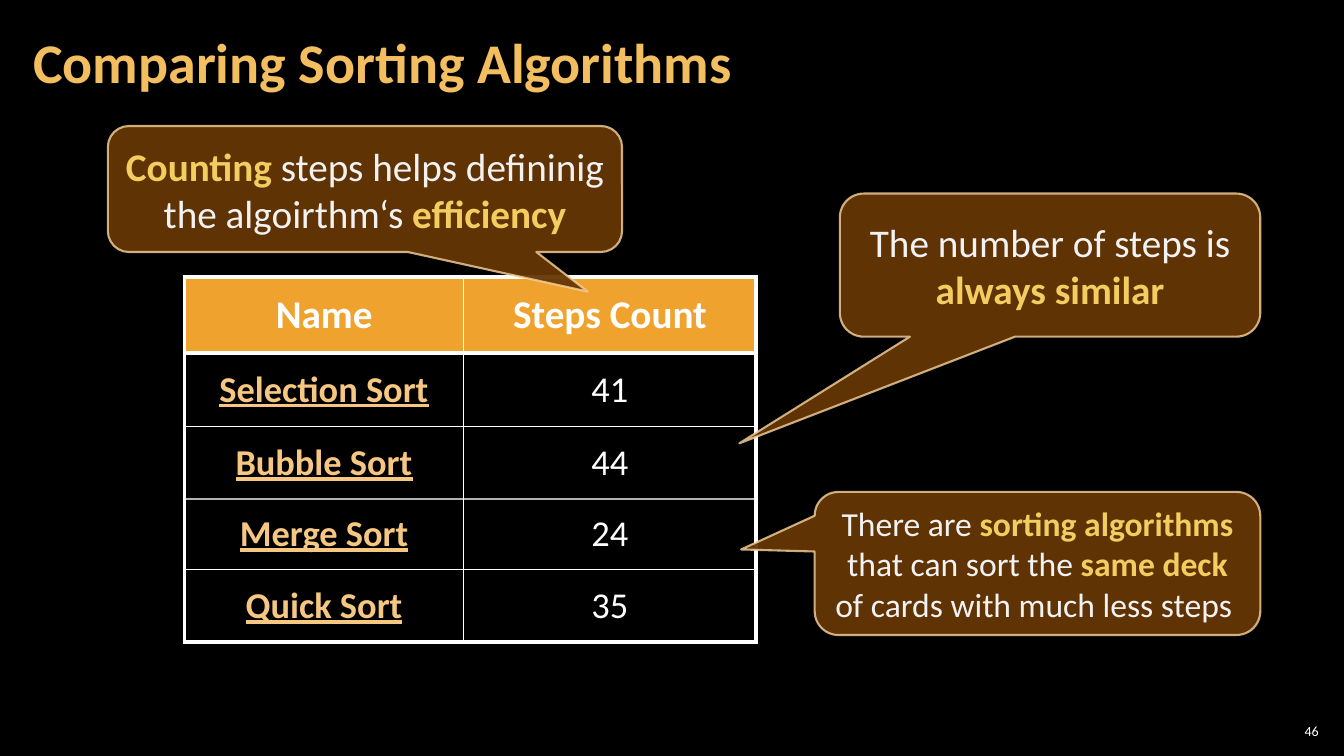
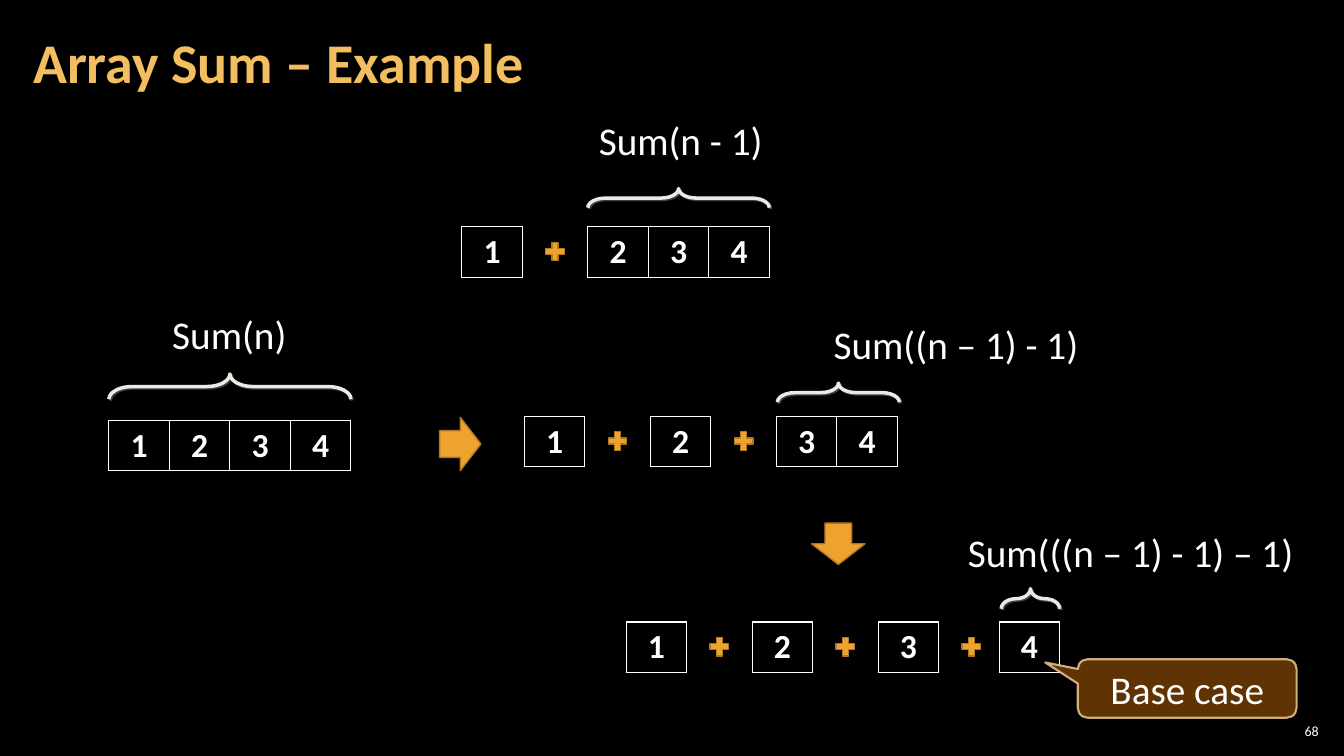
from dataclasses import dataclass

from pptx import Presentation
from pptx.dml.color import RGBColor
from pptx.enum.shapes import MSO_SHAPE
from pptx.enum.text import MSO_ANCHOR, PP_ALIGN
from pptx.oxml.ns import qn
from pptx.util import Emu, Pt
from lxml.etree import SubElement

PX = 9144  # 100 px to the inch


@dataclass(frozen=True)
class Theme:
    font: str = "Calibri"
    background: str = "000000"
    white: str = "FFFFFF"
    title: str = "F3BE60"
    accent: str = "F0A22E"
    accent_line: str = "B27822"
    callout: str = "663606"
    callout_line: str = "F8D49E"
    callout_text: str = "F2F2F2"
    emphasis: str = "F3CD60"
    link: str = "F6C781"
    brace: str = "ECEAE3"
    shadow: str = "404040"
    title_size: int = 40
    large_size: int = 28
    table_size: int = 26
    small_size: int = 24
    number_size: int = 10


THEME = Theme()

# ---- Content: comparison slide (boxes are left, top, width, height in px) ----
STEPS_HEADER = ("Name", "Steps Count")
SIMILAR_SORTS = [STEPS_HEADER, ("Selection Sort", "41"), ("Bubble Sort", "44")]
FASTER_SORTS = [("Merge Sort", "24"), ("Quick Sort", "35")]
STEPS_COLUMNS = (277, 290)
# corner, row heights, records; the second table continues the first
STEPS_TABLES = [
    ((183, 275), (75, 73, 72), SIMILAR_SORTS),
    ((183, 494), (71, 72), FASTER_SORTS),
]

# box, tail tip, text size, text colour, runs of (text, emphasised)
COMPARISON_CALLOUTS = [
    ((833, 192, 417, 142), (-0.739, 1.245), THEME.large_size, THEME.callout_text,
     [("The number of steps is ", False), ("always similar", True)]),
    ((107, 125, 510, 125), (0.433, 0.814), THEME.large_size, THEME.callout_text,
     [("Counting ", True), ("steps helps defininig the algoirthm‘s ", False),
      ("efficiency", True)]),
    ((808, 488, 442, 142), (-0.665, -0.098), THEME.small_size, THEME.callout_text,
     [("There are ", False), ("sorting algorithms", True),
      (" that can sort the ", False), ("same deck", True),
      (" of cards with much less steps ", False)]),
]

# ---- Content: array sum slide ----
CELL_WIDTH, CELL_HEIGHT = 60, 50
PLUS_SIZE, PLUS_GAP = 25, 20
# top of the row, then the left edge and digits of each group; a plus joins groups
SUM_ROWS = [
    (417, [(108, "1234")]),
    (225, [(458, "1"), (583, "234")]),
    (413, [(520, "1"), (645, "2"), (770, "34")]),
    (617, [(621, "1"), (746, "2"), (871, "3"), (991, "4")]),
]
SUM_LABELS = [
    ("Sum(n)", (161, 303, 135, 57)),
    ("Sum(n - 1)", (584, 110, 185, 57)),
    ("Sum((n – 1) - 1)", (817, 313, 266, 57)),
    ("Sum(((n – 1) - 1) – 1)", (950, 519, 359, 57)),
]
BRACES = [
    (108, 371, 240, 25),
    (583, 187, 180, 19),
    (771, 380, 121, 19),
    (993, 584, 58, 20),
]
ARROWS = [
    (MSO_SHAPE.RIGHT_ARROW, (436, 414, 41, 53)),
    (MSO_SHAPE.DOWN_ARROW, (805, 519, 53, 41)),
]
BASE_CASE = ((1069, 654, 217, 58), (-0.649, -0.445), THEME.large_size, THEME.white,
             [("Base case", False)])


# ---- Helpers ----
def emu(*lengths):
    return [Emu(length * PX) for length in lengths]


def color(value):
    return RGBColor.from_string(value)


def set_opacity(tint, percent):
    SubElement(tint, qn("a:alpha"), val=str(percent * 1000))


def style(span, size, ink, bold=False, underline=False):
    font = span.font
    font.name, font.size, font.bold = THEME.font, Pt(size), bold
    font.underline = underline
    font.color.rgb = color(ink)


def add_text(page, text, place, size, ink, bold=False, wrap=True,
             align=PP_ALIGN.LEFT, anchor=MSO_ANCHOR.TOP, insets=(10, 5)):
    box = page.shapes.add_textbox(*emu(*place))
    frame = box.text_frame
    frame.text = text
    frame.word_wrap, frame.vertical_anchor = wrap, anchor
    frame.margin_left = frame.margin_right = Emu(insets[0] * PX)
    frame.margin_top = frame.margin_bottom = Emu(insets[1] * PX)
    para = frame.paragraphs[0]
    para.alignment = align
    style(para.runs[0], size, ink, bold)
    return para


def add_page(deck, title, number):
    page = deck.slides.add_slide(deck.slide_layouts[6])
    page.background.fill.solid()
    page.background.fill.fore_color.rgb = color(THEME.background)
    add_text(page, str(number), (1265, 714, 47, 22), THEME.number_size, THEME.white,
             align=PP_ALIGN.RIGHT, anchor=MSO_ANCHOR.MIDDLE, insets=(4, 4))
    heading = add_text(page, title, (21, 4, 1047, 121), THEME.title_size, THEME.title,
                       bold=True, anchor=MSO_ANCHOR.MIDDLE, insets=(12, 4))
    heading.line_spacing = 0.9
    return page


def add_preset(page, kind, place, line, width, fill=None):
    shape = page.shapes.add_shape(kind, *emu(*place))
    shape.shadow.inherit = False
    if fill:
        shape.fill.solid()
        shape.fill.fore_color.rgb = color(fill)
    else:
        shape.fill.background()
    shape.line.color.rgb = color(line)
    shape.line.width = Pt(width)
    return shape


def add_callout(page, place, tip, size, ink, parts):
    shape = add_preset(page, MSO_SHAPE.ROUNDED_RECTANGULAR_CALLOUT, place,
                       THEME.callout_line, 1.5, THEME.callout)
    shape.adjustments[0], shape.adjustments[1] = tip
    # Opacity of the fill, then of the outline
    tints = list(shape.element.spPr.iter(qn("a:srgbClr")))
    for tint, percent in zip(tints, (95, 80)):
        set_opacity(tint, percent)
    frame = shape.text_frame
    frame.word_wrap, frame.vertical_anchor = True, MSO_ANCHOR.MIDDLE
    para = frame.paragraphs[0]
    para.alignment = PP_ALIGN.CENTER
    for text, emphasised in parts:
        span = para.add_run()
        span.text = text
        style(span, size, THEME.emphasis if emphasised else ink, emphasised)


def add_brace(page, place):
    left, top, width, height = place
    # A left brace turned by a quarter about its centre
    upright = (left + (width - height) / 2, top + (height - width) / 2, height, width)
    brace = add_preset(page, MSO_SHAPE.LEFT_BRACE, upright, THEME.brace, 2.5)
    brace.rotation = 90
    brace.adjustments[0] = 0.92
    effects = brace.element.spPr.find(qn("a:effectLst"))
    shadow = SubElement(effects, qn("a:outerShdw"), dist=str(Pt(1.4)),
                        dir=str(45 * 60000), algn="ctr", rotWithShape="0")
    SubElement(shadow, qn("a:srgbClr"), val=THEME.shadow)


def add_grid(page, corner, columns, rows):
    place = (*corner, sum(columns), sum(rows))
    grid = page.shapes.add_table(len(rows), len(columns), *emu(*place)).table
    grid.first_row = grid.horz_banding = False
    for column, width in zip(grid.columns, emu(*columns)):
        column.width = width
    for row, height in zip(grid.rows, emu(*rows)):
        row.height = height
    return grid


def fill_cell(cell, text, size, ink, borders, fill=None, opacity=100, bold=False,
              underline=False, anchor=MSO_ANCHOR.MIDDLE):
    cell.text = text
    cell.vertical_anchor = anchor
    para = cell.text_frame.paragraphs[0]
    para.alignment = PP_ALIGN.CENTER
    style(para.runs[0], size, ink, bold, underline)
    properties = cell._tc.get_or_add_tcPr()
    for side, width in zip("LRTB", borders):
        line = SubElement(properties, qn(f"a:ln{side}"), w=str(Pt(width)))
        if width:
            paint = SubElement(line, qn("a:solidFill"))
            SubElement(paint, qn("a:srgbClr"), val=THEME.white)
        else:
            SubElement(line, qn("a:noFill"))
    if fill:
        cell.fill.solid()
        cell.fill.fore_color.rgb = color(fill)
        if opacity < 100:
            set_opacity(properties.find(qn("a:solidFill"))[0], opacity)
    else:
        cell.fill.background()


def add_steps_table(page, corner, heights, records):
    grid = add_grid(page, corner, STEPS_COLUMNS, heights)
    for r, record in enumerate(records):
        header = record is STEPS_HEADER
        # Thick around both tables and under the header, no line where they meet
        top = 3 if header else 1 if r else 0
        bottom = 3 if header or record is FASTER_SORTS[-1] else 1
        for c, text in enumerate(record):
            name = c == 0 and not header
            sides = (3, 1) if c == 0 else (1, 3)
            fill_cell(grid.cell(r, c), text,
                      THEME.large_size if header else THEME.table_size,
                      THEME.link if name else THEME.white,
                      (*sides, top, bottom),
                      fill=THEME.accent if header else THEME.background,
                      opacity=100 if header else 30,
                      bold=header or name, underline=name)


# ---- Slides ----
def build_comparison(deck):
    page = add_page(deck, "Comparing Sorting Algorithms", 46)
    for table in STEPS_TABLES:
        add_steps_table(page, *table)
    for callout in COMPARISON_CALLOUTS:
        add_callout(page, *callout)


def build_array_sum(deck):
    page = add_page(deck, "Array Sum – Example", 68)
    for top, groups in SUM_ROWS:
        for index, (left, digits) in enumerate(groups):
            grid = add_grid(page, (left, top), [CELL_WIDTH] * len(digits), [CELL_HEIGHT])
            for c, digit in enumerate(digits):
                fill_cell(grid.cell(0, c), digit, THEME.small_size, THEME.white,
                          [1] * 4, bold=True, anchor=MSO_ANCHOR.TOP)
            if index < len(groups) - 1:
                plus = (left + CELL_WIDTH + PLUS_GAP,
                        top + (CELL_HEIGHT - PLUS_SIZE) // 2, PLUS_SIZE, PLUS_SIZE)
                add_preset(page, MSO_SHAPE.MATH_PLUS, plus,
                           THEME.accent_line, 1, THEME.accent)
    for kind, place in ARROWS:
        add_preset(page, kind, place, THEME.accent_line, 1, THEME.accent)
    add_callout(page, *BASE_CASE)
    for text, place in SUM_LABELS:
        add_text(page, text, place, THEME.large_size, THEME.white, wrap=False)
    for place in BRACES:
        add_brace(page, place)


def main():
    deck = Presentation()
    deck.slide_width, deck.slide_height = emu(1333, 750)
    build_comparison(deck)
    build_array_sum(deck)
    deck.save("out.pptx")


if __name__ == "__main__":
    main()
